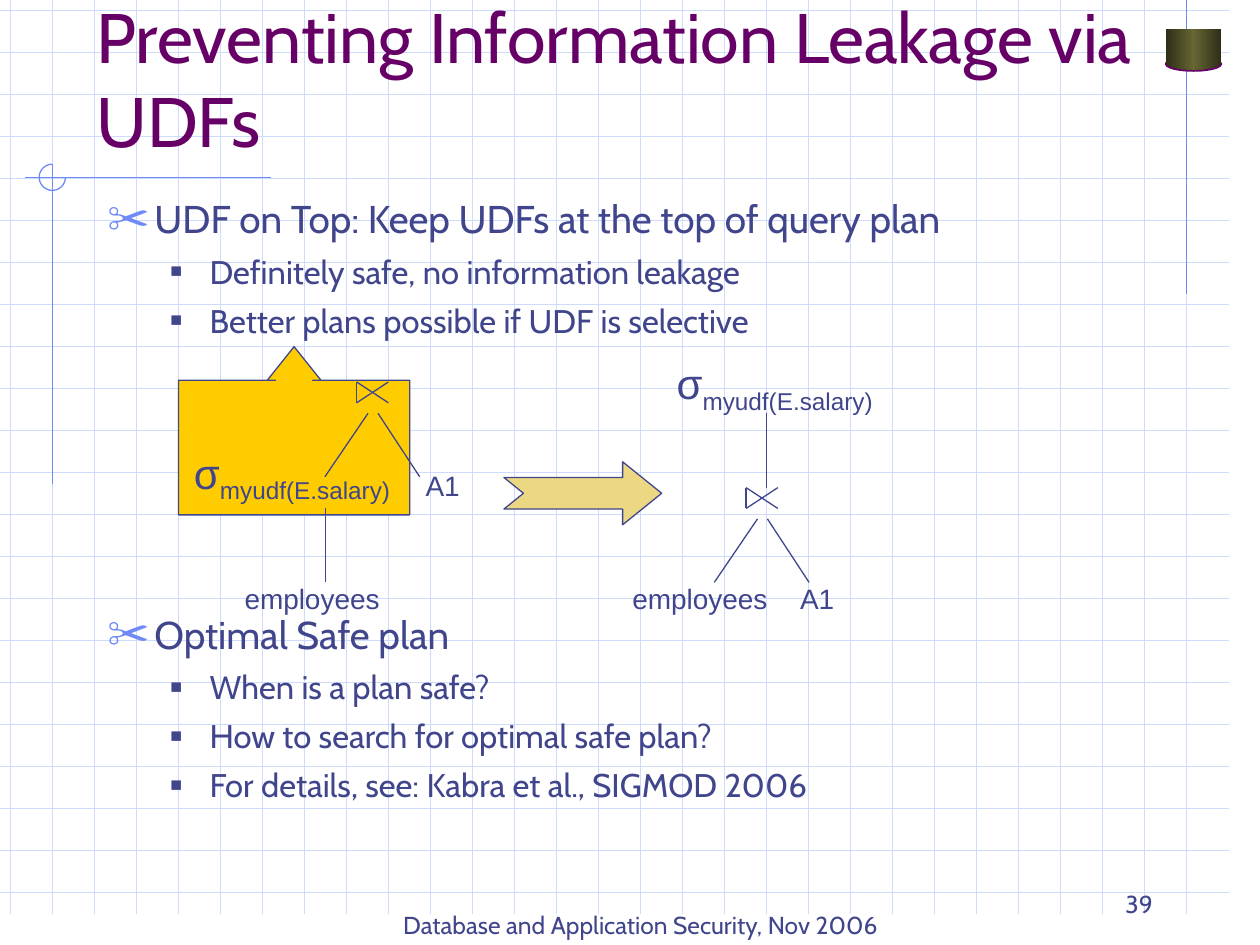
import copy

import pptx
import pptx.dml.color
import pptx.enum.shapes
import pptx.enum.text
import pptx.oxml.ns
import pptx.util
from lxml import etree
from pptx.util import Cm, Pt

COLORS = {"grid": "CFDBFD", "rule": "6F89F7", "ink": "40458C", "title": "660066",
          "callout": "FFCC00", "arrow": "ECD882", "olive": "666633", "dark": "2F2F18"}
SHAPE = pptx.enum.shapes.MSO_SHAPE
ALIGN = pptx.enum.text.PP_ALIGN
ANCHOR = pptx.enum.text.MSO_ANCHOR
FIT = pptx.enum.text.MSO_AUTO_SIZE
qn = pptx.oxml.ns.qn

LEVELS = [
    {"size": 22.1, "before": 6.5, "left": 0.95, "hang": 0.95,
     "char": "✂", "color": "rule", "pct": 110},
    {"size": 18.7, "before": 5.5, "left": 2.06, "hang": 0.79,
     "char": "■", "color": "ink", "pct": 60},
]
TITLE = "Preventing Information Leakage via UDFs"
BULLETS = [  # level, text, space before where it differs from the level
    (0, "UDF on Top: Keep UDFs at the top of query plan", 0),
    (1, "Definitely safe, no information leakage", None),
    (1, "Better plans possible if UDF is selective", None),
    (0, "Optimal Safe plan", 155),
    (1, "When is a plan safe?", None),
    (1, "How to search for optimal safe plan?", None),
    (1, "For details, see: Kabra et al., SIGMOD 2006", None),
]


def rgb(name):
    return pptx.dml.color.RGBColor.from_string(COLORS[name])


def set_attrs(obj, **values):
    for name, value in values.items():
        setattr(obj, name, value)


def add_run(p, text, size, font="Cabin", color="ink"):
    r = p.add_run()
    r.text = text
    set_attrs(r.font, size=Pt(size), name=font, bold=False)
    r.font.color.rgb = rgb(color)
    return r


def add_line(shapes, x1, y1, x2, y2, color="ink"):
    line = shapes.add_connector(pptx.enum.shapes.MSO_CONNECTOR.STRAIGHT,
                                Cm(x1), Cm(y1), Cm(x2), Cm(y2))
    line.line.color.rgb = rgb(color)
    line.line.width = Pt(0.75)
    etree.SubElement(line._element.spPr, qn("a:effectLst"))


def add_shape(shapes, kind, box, fill=None, line=None, width=0.75, adj=()):
    sp = shapes.add_shape(kind, *map(Cm, box))
    sp.shadow.inherit = False
    for i, value in enumerate(adj):
        sp.adjustments[i] = value
    if fill:
        sp.fill.solid()
        sp.fill.fore_color.rgb = rgb(fill)
    else:
        sp.fill.background()
    if line:
        sp.line.color.rgb = rgb(line)
        sp.line.width = Pt(width)
    else:
        sp.line.fill.background()
    return sp


def add_text(shapes, box, text, size, font="Cabin", wrap=True, **frame):
    tf = shapes.add_textbox(*map(Cm, box)).text_frame
    set_attrs(tf, word_wrap=wrap, **frame)
    add_run(tf.paragraphs[0], text, size, font)
    return tf.paragraphs[0]


def place(sp, box):
    """Move a placeholder to its box and in front of what is drawn so far."""
    set_attrs(sp, **dict(zip(("left", "top", "width", "height"), map(Cm, box))))
    sp._element.getparent().append(sp._element)
    sp.text_frame.auto_size = FIT.NONE
    return sp.text_frame


def grid(s, width, height):
    shapes = s.shapes.add_group_shape().shapes
    first, step = 0.21, 2.54 / 3
    for i in range(22):
        add_line(shapes, 0, first + i * step, width, first + i * step, "grid")
    for i in range(29):
        add_line(shapes, first + i * step, 0, first + i * step, height, "grid")


def margin_rules(s, x, y):
    """Rules crossing at x, y with an open ring, and the rule at the right."""
    shapes = s.shapes.add_group_shape().shapes
    add_line(shapes, x + 22.86, 0, x + 22.86, 5.93, "rule")
    add_line(shapes, x - 0.55, y, x + 4.4, y, "rule")
    add_line(shapes, x, y - 0.27, x, y + 6.18, "rule")
    add_shape(shapes, SHAPE.ARC, (x - 0.27, y - 0.27, 0.53, 0.53),
              line="rule", adj=(0, 162))


def cylinder(s, x, y, w, h):
    shapes = s.shapes.add_group_shape().shapes
    base = add_shape(shapes, SHAPE.OVAL, (x, y + h - 0.28, w, 0.28), line="title", width=1)
    side = add_shape(shapes, SHAPE.RECTANGLE, (x, y, w, h - 0.14))
    for sp in (base, side):
        sp.fill.gradient()
        sp.fill.gradient_angle = 0
        stops = sp.fill.gradient_stops
        for stop, name, position in zip(stops, ("dark", "olive"), (0, 0.5)):
            stop.color.rgb = rgb(name)
            stop.position = position
        start, middle = sp._element.spPr.findall(".//" + qn("a:gs"))
        end = copy.deepcopy(start)
        end.set("pos", "100000")
        middle.addnext(end)


def title(s, box):
    tf = place(s.shapes.title, box)
    tf.vertical_anchor = ANCHOR.BOTTOM
    p = tf.paragraphs[0]
    p.alignment = ALIGN.LEFT
    add_run(p, TITLE, 40, color="title")


def bullet_list(s, box):
    tf = place(s.placeholders[1], box)
    for i, (level, text, before) in enumerate(BULLETS):
        look = LEVELS[level]
        p = tf.paragraphs[0] if i == 0 else tf.add_paragraph()
        set_attrs(p, level=level, space_before=Pt(look["before"] if before is None else before))
        pPr = p._p.get_or_add_pPr()
        pPr.set("marL", str(Cm(look["left"])))
        pPr.set("indent", str(-Cm(look["hang"])))
        color = etree.SubElement(pPr, qn("a:buClr"))
        etree.SubElement(color, qn("a:srgbClr"), val=COLORS[look["color"]])
        etree.SubElement(pPr, qn("a:buSzPct"), val=str(look["pct"] * 1000))
        etree.SubElement(pPr, qn("a:buChar"), char=look["char"])
        add_run(p, text, look["size"])


def query_plan(s, x, y, select, stem, join, employees, a1):
    """Operator tree; each part is offset from the corner x, y."""
    shapes = s.shapes.add_group_shape().shapes
    # selection, with the line below it
    p = add_text(shapes, (x + select[0], y + select[1], 4.47, 1.42), "σ", 24, "Arial", False)
    add_run(p, "myudf(E.salary)", 24, "Arial")._r.get_or_add_rPr().set("baseline", "-25000")
    add_line(shapes, x + stem[0], y + stem[1], x + stem[0], y + stem[1] + 1.5)
    # join sign and its two branches
    jx, jy, w, h = x + join[0], y + join[1], 0.64, 0.42
    for x1, y1, x2, y2 in ((0, 0, w, h), (0, h, w, 0), (0, 0, 0, h),
                           (0.23, 0.63, -0.64, 1.91), (0.43, 0.63, 1.27, 1.91)):
        add_line(shapes, jx + x1, jy + y1, jx + x2, jy + y2)
    # relations
    for (dx, dy), width, text in ((employees, 3.23, "employees"), (a1, 1.19, "A1")):
        add_text(shapes, (x + dx, y + dy, width, 0.94), text, 16, "Arial", False)


def footer(s, y):
    for box, text, align in (
            ((7.62, y, 10.59, 0.85), "Database and Application Security, Nov 2006", ALIGN.CENTER),
            ((18.21, y - 0.85, 5.28, 1.27), "39", ALIGN.RIGHT)):
        p = add_text(s.shapes, box, text, 14, vertical_anchor=ANCHOR.BOTTOM)
        p.alignment = align


def main():
    prs = pptx.Presentation()
    set_attrs(prs, slide_width=Cm(25.4), slide_height=Cm(19.05))
    s = prs.slides.add_slide(prs.slide_layouts[1])
    # background
    grid(s, 24.77, 18.42)
    margin_rules(s, 1.06, 3.58)
    cylinder(s, 23.5, 0.58, 1.12, 0.85)
    footer(s, 18.21)
    # text and plans
    bullet_list(s, (1.91, 3.81, 22.02, 12.9))
    add_shape(s.shapes, SHAPE.UP_ARROW_CALLOUT, (3.6, 6.99, 4.66, 3.39), "callout", "ink",
              adj=(0.22, 0.16, 0.2, 1.39))
    title(s, (1.69, 0.64, 21.59, 2.75))
    query_plan(s, 3.66, 7.7, select=(0, 1.19), stem=(2.9, 2.54), join=(3.53, 0),
               employees=(1.02, 3.89), a1=(4.67, 1.63))
    query_plan(s, 12.5, 7.09, select=(0.89, 0), stem=(2.95, 1.24), join=(2.54, 2.74),
               employees=(0, 4.5), a1=(3.38, 4.5))
    add_shape(s.shapes, SHAPE.NOTCHED_RIGHT_ARROW, (10.16, 9.31, 3.18, 1.27), "arrow", "ink",
              adj=(0.5, 0.62))
    prs.save("out.pptx")


if __name__ == "__main__":
    main()
